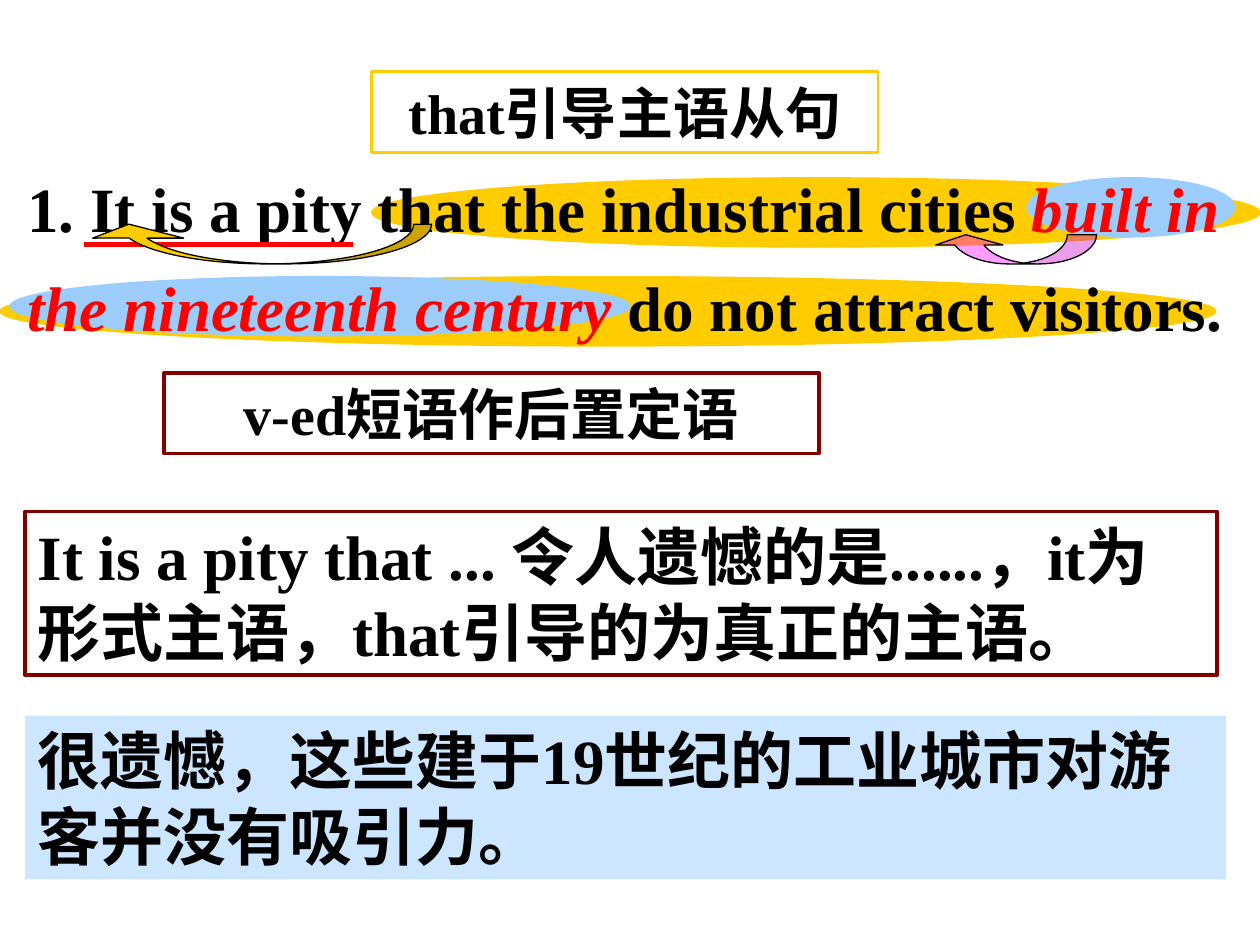
from lxml import etree
from pptx import Presentation
from pptx.dml.color import RGBColor
from pptx.enum.shapes import MSO_CONNECTOR, MSO_SHAPE as SHAPE
from pptx.enum.text import MSO_ANCHOR as ANCHOR, PP_ALIGN as ALIGN
from pptx.oxml.ns import qn
from pptx.util import Pt

BLACK = RGBColor(0x00, 0x00, 0x00)
WHITE = RGBColor(0xFF, 0xFF, 0xFF)
RED = RGBColor(0xFF, 0x00, 0x00)
MAROON = RGBColor(0x80, 0x00, 0x00)
GOLD = RGBColor(0xFF, 0xCC, 0x00)
SKY = RGBColor(0x99, 0xCC, 0xFF)
MAGENTA = RGBColor(0xFF, 0x00, 0xFF)
LATIN, CHINESE = "Times New Roman", "Noto Sans CJK SC"


def add_box(slide, kind, box, fill=None, alpha=100, line=None, width=0.75):
    sp = slide.shapes.add_shape(kind, *map(Pt, box))
    sp.shadow.inherit = False
    if fill is None:
        sp.fill.background()
    else:
        sp.fill.solid()
        sp.fill.fore_color.rgb = fill
        if alpha < 100:
            color = sp.fill._xPr.find(qn("a:solidFill"))[0]
            etree.SubElement(color, qn("a:alpha"), val=str(alpha * 1000))
    if line is None:
        sp.line.fill.background()
    else:
        sp.line.color.rgb = line
        sp.line.width = Pt(width)
    return sp


def write(sp, paragraphs, size, align=ALIGN.LEFT, anchor=ANCHOR.TOP, spacing=None):
    """Each paragraph is a list of (text, is_phrase); the phrase is red italic."""
    tf = sp.text_frame
    tf.word_wrap = True
    tf.vertical_anchor = anchor
    for i, runs in enumerate(paragraphs):
        p = tf.add_paragraph() if i else tf.paragraphs[0]
        p.alignment = align
        if spacing:
            p.line_spacing = spacing
        for text, is_phrase in runs:
            r = p.add_run()
            r.text = text
            font = r.font
            font.name, font.size, font.bold = LATIN, Pt(size), True
            font.italic = is_phrase
            font.color.rgb = RED if is_phrase else BLACK
            ea = etree.SubElement(r._r.get_or_add_rPr(), qn("a:ea"))
            ea.set("typeface", CHINESE)


def add_note(slide, box, text, size, align=ALIGN.LEFT, anchor=ANCHOR.TOP, **style):
    sp = add_box(slide, SHAPE.RECTANGLE, box, **style)
    write(sp, [[(text, False)]], size, align, anchor)


def add_curved_arrow(slide, box, fill, alpha, adjustments):
    sp = add_box(slide, SHAPE.CURVED_DOWN_ARROW, box, fill, alpha, BLACK)
    sp.rotation = 180
    for i, value in enumerate(adjustments):
        sp.adjustments[i] = value


def add_sentence(slide, box):
    x, y, w, h = box
    line_gap = 56.5
    first, second = y + 21, y + 21 + line_gap

    # Highlights: the clause in gold, the participle phrase in blue
    for left, top, width in ((212.4, first, 507.6), (0, second, 694.8)):
        add_box(slide, SHAPE.OVAL, (left, top, width, 39.6), GOLD, line=GOLD)
    for left, top, width in ((586.8, first, 118.8), (5.8, second, 354.2)):
        add_box(slide, SHAPE.OVAL, (left, top, width, 33.8), SKY, 98, SKY)

    # Sentence
    tb = slide.shapes.add_textbox(*map(Pt, box))
    write(tb, [
        [("1. It is a pity that the industrial cities ", False), ("built in", True)],
        [("the nineteenth century", True), (" do not attract visitors.", False)],
    ], 36, spacing=1.3)


def add_links(slide, box):
    x, y = box[:2]
    # Underline of the main clause
    line_y = Pt(y + 59)
    line = slide.shapes.add_connector(
        MSO_CONNECTOR.STRAIGHT, Pt(x + 39.6), line_y, Pt(x + 193), line_y)
    line.line.color.rgb = RED
    line.line.width = Pt(3)
    etree.SubElement(line._element.spPr, qn("a:effectLst"))

    # Arrows from the clause to "It" and from the phrase to its noun
    add_curved_arrow(slide, (x + 39, y + 47.5, 199, 22.7), GOLD, 100,
                     (0.45, 2.29, 0.35))
    add_curved_arrow(slide, (x + 524, y + 53.5, 94, 16.7), MAGENTA, 39,
                     (1.13, 2.3, 0.35))


def main():
    prs = Presentation()
    prs.slide_width, prs.slide_height = Pt(720), Pt(540)
    slide = prs.slides.add_slide(prs.slide_layouts[6])
    sentence_box = (8.6, 80.6, 711.4, 119.5)

    add_sentence(slide, sentence_box)

    # Grammar labels, explanation and translation
    add_note(slide, (93.6, 213.1, 374.4, 46), "v-ed短语作后置定语", 32,
             ALIGN.CENTER, line=MAROON, width=2)
    add_note(slide, (14.4, 292.3, 681.1, 93.6),
             "It is a pity that ... 令人遗憾的是......，it为形式主语，that引导的为真正的主语。",
             36, line=MAROON, width=2)
    add_note(slide, (212.4, 41, 289.4, 46), "that引导主语从句", 32, ALIGN.CENTER,
             ANCHOR.MIDDLE, fill=WHITE, alpha=50, line=GOLD, width=1.5)
    add_note(slide, (14.4, 409, 686.2, 93.6),
             "很遗憾，这些建于19世纪的工业城市对游客并没有吸引力。", 36,
             fill=SKY, alpha=49)

    add_links(slide, sentence_box)
    prs.save("out.pptx")


if __name__ == "__main__":
    main()
